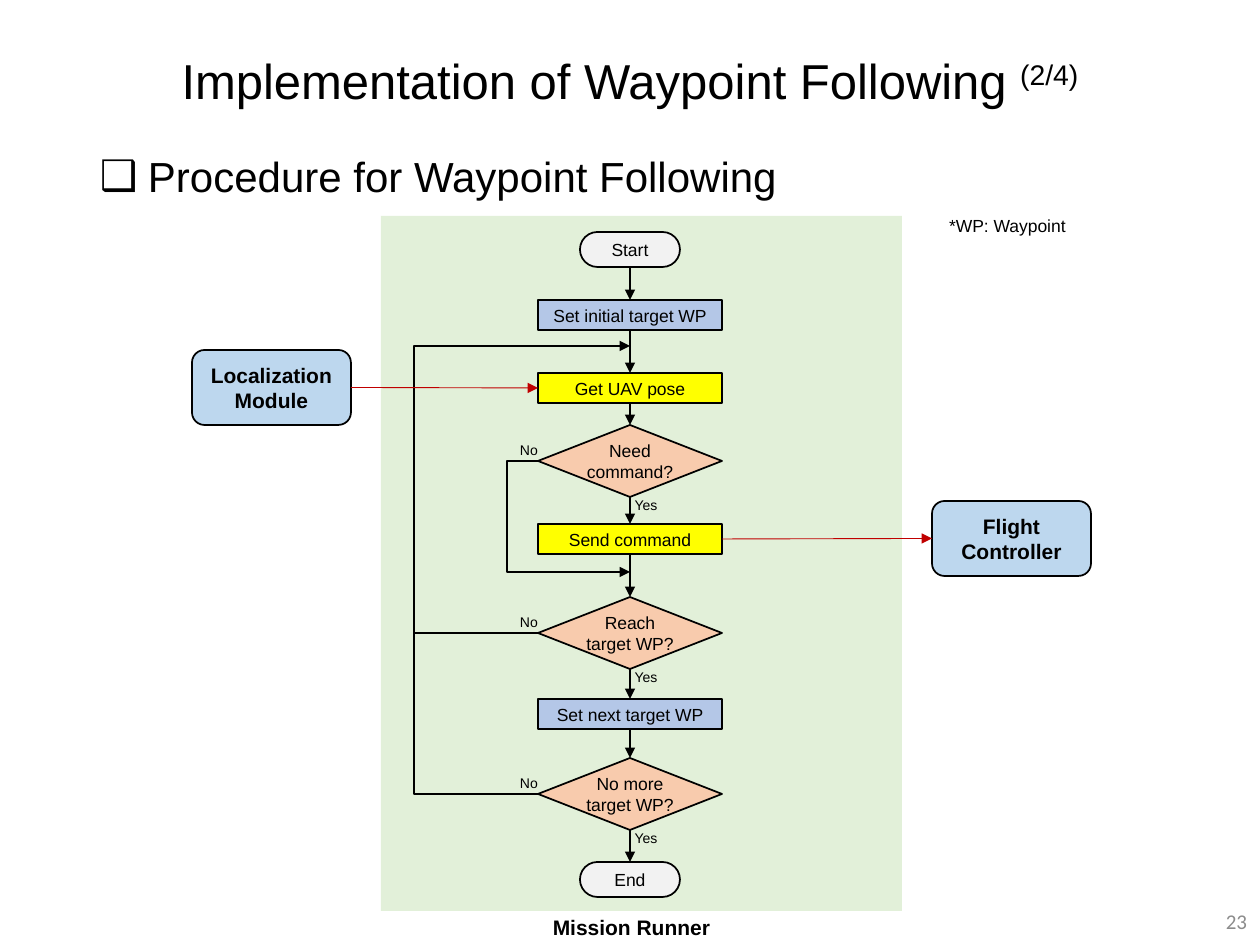
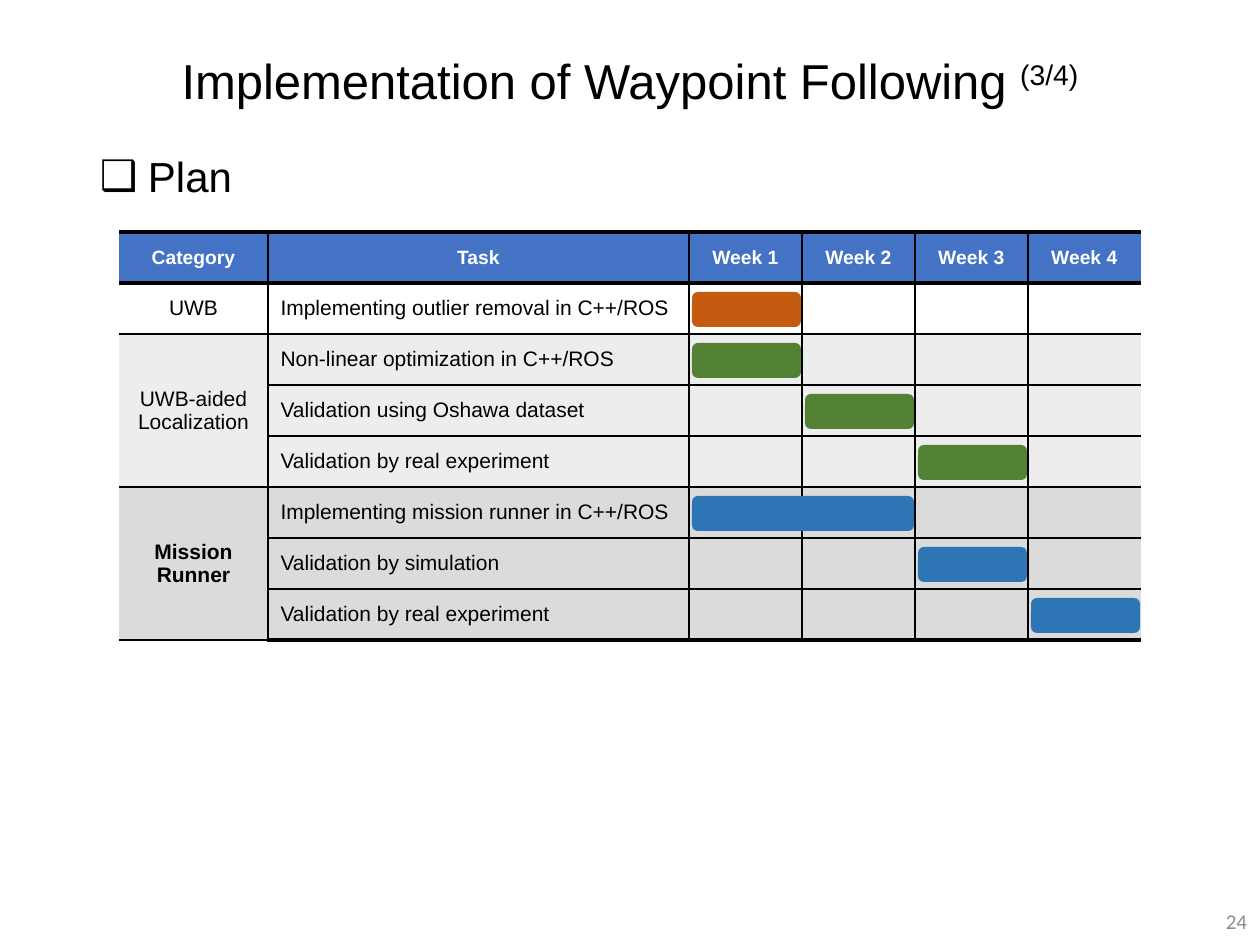
from lxml.etree import SubElement
from pptx import Presentation
from pptx.dml.color import RGBColor
from pptx.enum.shapes import MSO_CONNECTOR, MSO_SHAPE
from pptx.enum.text import MSO_ANCHOR, PP_ALIGN
from pptx.oxml.ns import qn
from pptx.util import Emu, Pt

PX_PER_INCH = 126
SLIDE_WIDTH, SLIDE_HEIGHT = 1260, 945
FONT = "Arial"

BLACK = RGBColor(0, 0, 0)
WHITE = RGBColor(255, 255, 255)
PAGE_GRAY = RGBColor(0x8C, 0x8C, 0x8C)
RUNNER_GREEN = RGBColor(0xE2, 0xF0, 0xD9)
TERMINAL_GRAY = RGBColor(0xF2, 0xF2, 0xF2)
STEP_BLUE = RGBColor(0xB4, 0xC7, 0xE7)
STEP_YELLOW = RGBColor(255, 255, 0)
DECISION_ORANGE = RGBColor(0xF8, 0xCB, 0xAD)
MODULE_BLUE = RGBColor(0xBD, 0xD7, 0xEE)
LINK_RED = RGBColor(0xC0, 0, 0)
HEADER_BLUE = RGBColor(0x44, 0x72, 0xC4)
LIGHT_GRAY = RGBColor(0xED, 0xED, 0xED)
MID_GRAY = RGBColor(0xDB, 0xDB, 0xDB)
UWB_ORANGE = RGBColor(0xC5, 0x5A, 0x11)
LOCALIZATION_GREEN = RGBColor(0x54, 0x82, 0x35)
MISSION_BLUE = RGBColor(0x2E, 0x75, 0xB6)

TOP, LEFT, BOTTOM, RIGHT = range(4)

FLOW_CENTER = 630
TERMINAL = (MSO_SHAPE.ROUNDED_RECTANGLE, 100, 35)
STEP = (MSO_SHAPE.RECTANGLE, 184, 30)
DECISION = (MSO_SHAPE.FLOWCHART_DECISION, 184, 72)
FLOW = [
    (TERMINAL, "Start", 232, TERMINAL_GRAY),
    (STEP, "Set initial target WP", 300, STEP_BLUE),
    (STEP, "Get UAV pose", 373, STEP_YELLOW),
    (DECISION, "Need\ncommand?", 425, DECISION_ORANGE),
    (STEP, "Send command", 524, STEP_YELLOW),
    (DECISION, "Reach\ntarget WP?", 597, DECISION_ORANGE),
    (STEP, "Set next target WP", 699, STEP_BLUE),
    (DECISION, "No more target WP?", 758, DECISION_ORANGE),
    (TERMINAL, "End", 862, TERMINAL_GRAY),
]

TABLE_LEFT, TABLE_TOP, ROW_HEIGHT = 119, 232, 51
CATEGORY_WIDTH, TASK_WIDTH, WEEK_WIDTH = 149, 421, 113
WEEKS = 4
# category, fill, bold, bar colour, tasks as (name, first week, weeks)
PLAN = [
    ("UWB", WHITE, False, UWB_ORANGE,
     [("Implementing outlier removal in C++/ROS", 1, 1)]),
    ("UWB-aided\nLocalization", LIGHT_GRAY, False, LOCALIZATION_GREEN,
     [("Non-linear optimization in C++/ROS", 1, 1),
      ("Validation using Oshawa dataset", 2, 1),
      ("Validation by real experiment", 3, 1)]),
    ("Mission Runner", MID_GRAY, True, MISSION_BLUE,
     [("Implementing mission runner in C++/ROS", 1, 2),
      ("Validation by simulation", 3, 1),
      ("Validation by real experiment", 4, 1)]),
]


def px(length):
    return Emu(round(length * 914400 / PX_PER_INCH))


def write(frame, text, size, align=PP_ALIGN.CENTER, color=BLACK, bold=False, font=FONT):
    frame.text = text
    for paragraph in frame.paragraphs:
        paragraph.alignment = align
        for run in paragraph.runs:
            run.font.name = font
            run.font.size = Pt(size)
            run.font.bold = bold
            run.font.color.rgb = color


def prepare_frame(frame):
    frame.word_wrap = True
    frame.vertical_anchor = MSO_ANCHOR.MIDDLE
    frame.margin_left = frame.margin_right = 0
    frame.margin_top = frame.margin_bottom = 0


def add_label(slide, text, left, top, width, height, size, **style):
    frame = slide.shapes.add_textbox(*map(px, (left, top, width, height))).text_frame
    prepare_frame(frame)
    write(frame, text, size, **style)
    return frame


def add_block(slide, kind, left, top, width, height, fill, outlined=True):
    block = slide.shapes.add_shape(kind, *map(px, (left, top, width, height)))
    block.shadow.inherit = False
    block.fill.solid()
    block.fill.fore_color.rgb = fill
    if outlined:
        block.line.color.rgb = BLACK
        block.line.width = Pt(1)
    else:
        block.line.fill.background()
    prepare_frame(block.text_frame)
    return block


def add_line(slide, start, end, color=BLACK, width=0.75, arrow=True,
             kind=MSO_CONNECTOR.STRAIGHT):
    line = slide.shapes.add_connector(kind, *map(px, (*start, *end)))
    line.line.color.rgb = color
    line.line.width = Pt(width)
    if arrow:
        SubElement(line.line._get_or_add_ln(), qn("a:tailEnd"), type="triangle")
    SubElement(line._element.spPr, qn("a:effectLst"))
    return line


def join(slide, source, source_side, target, target_side, **style):
    """Draw an arrow between the middles of two block sides."""
    line = add_line(slide, (0, 0), (1, 1), **style)
    line.begin_connect(source, source_side)
    line.end_connect(target, target_side)


def add_detour(slide, start, end, lane):
    """Draw an arrow that leaves sideways and runs vertically at x = lane."""
    detour = add_line(slide, start, end, kind=MSO_CONNECTOR.ELBOW)
    bend = round((lane - start[0]) / (end[0] - start[0]) * 100000)
    guides = detour._element.spPr.find(qn("a:prstGeom")).get_or_add_avLst()
    SubElement(guides, qn("a:gd"), name="adj1", fmla=f"val {bend}")


def add_page(deck, part, heading, number):
    slide = deck.slides.add_slide(deck.slide_layouts[5])
    title = slide.shapes.title
    title.left, title.top, title.width, title.height = map(px, (87, 50, 1086, 68))
    prepare_frame(title.text_frame)
    write(title.text_frame, "Implementation of Waypoint Following ", 28)
    title_line = title.text_frame.paragraphs[0]
    title_line.line_spacing = 0.9
    counter = title_line.add_run()
    counter.text = part
    counter.font.name = FONT
    counter.font.size = Pt(28)
    counter.font.color.rgb = BLACK
    counter._r.get_or_add_rPr().set("baseline", "30000")

    frame = add_label(slide, heading, 100, 157, 1060, 44, 24, align=PP_ALIGN.LEFT)
    frame.paragraphs[0].line_spacing = 0.9
    properties = frame.paragraphs[0]._p.get_or_add_pPr()
    properties.set("marL", str(px(48)))
    properties.set("indent", str(-px(48)))
    SubElement(properties, qn("a:buFont"), typeface=FONT)
    SubElement(properties, qn("a:buChar"), char="❑")

    add_label(slide, number, 977, 896, 270, 50, 12, align=PP_ALIGN.RIGHT,
              color=PAGE_GRAY, font="Calibri")
    return slide


def add_flow_block(slide, form, text, top, fill):
    kind, width, height = form
    block = add_block(slide, kind, FLOW_CENTER - width // 2, top, width, height, fill)
    if form == TERMINAL:
        block.adjustments[0] = 0.5
    write(block.text_frame, text, 10)
    if form == DECISION:
        add_label(slide, "Yes", 616, top + 65, 60, 30, 8)
        add_label(slide, "No", 499, top + 10, 60, 30, 8)
    return block


def add_module(slide, text, left, top):
    module = add_block(slide, MSO_SHAPE.ROUNDED_RECTANGLE, left, top, 159, 75, MODULE_BLUE)
    write(module.text_frame, text, 12, bold=True)
    return module


def build_procedure(deck):
    slide = add_page(deck, "(2/4)", "Procedure for Waypoint Following", "23")
    add_block(slide, MSO_SHAPE.RECTANGLE, 381, 216, 521, 695, RUNNER_GREEN, outlined=False)
    add_label(slide, "Mission Runner", 522, 912, 219, 30, 12, bold=True)
    add_label(slide, "*WP: Waypoint", 949, 210, 130, 30, 10, align=PP_ALIGN.LEFT)

    blocks = [add_flow_block(slide, *entry) for entry in FLOW]
    for source, target in zip(blocks, blocks[1:]):
        join(slide, source, BOTTOM, target, TOP)

    decision_left = FLOW_CENTER - DECISION[1] // 2
    need_y, reach_y, more_y = (top + DECISION[2] // 2
                               for form, _, top, _ in FLOW if form == DECISION)
    loop_lane = 414
    add_detour(slide, (decision_left, need_y), (FLOW_CENTER, 572), 507)
    add_detour(slide, (decision_left, more_y), (FLOW_CENTER, 346), loop_lane)
    reach_branch = add_line(slide, (decision_left, reach_y), (loop_lane, reach_y), arrow=False)
    reach_branch.begin_connect(blocks[5], LEFT)

    localization = add_module(slide, "Localization\nModule", 192, 350)
    controller = add_module(slide, "Flight Controller", 932, 501)
    join(slide, localization, RIGHT, blocks[2], LEFT, color=LINK_RED, width=0.5)
    join(slide, blocks[4], RIGHT, controller, LEFT, color=LINK_RED, width=0.5)


def set_borders(cell, widths):
    """Set left, right, top and bottom border widths in points; 0 hides one."""
    properties = cell._tc.get_or_add_tcPr()
    for tag, width in zip(("a:lnL", "a:lnR", "a:lnT", "a:lnB"), widths):
        border = SubElement(properties, qn(tag), w=str(Pt(width)))
        if width:
            fill = SubElement(border, qn("a:solidFill"))
            SubElement(fill, qn("a:srgbClr"), val=str(BLACK))
        else:
            SubElement(border, qn("a:noFill"))


def style_row(table, row, fill):
    last_row, last_column = len(table.rows) - 1, len(table.columns) - 1
    for column in range(last_column + 1):
        cell = table.cell(row, column)
        set_borders(cell, (int(column > 0), int(column < last_column),
                           2 if row < 2 else 1,
                           2 if row in (0, last_row) else 1))
        cell.fill.solid()
        cell.fill.fore_color.rgb = fill
        cell.vertical_anchor = MSO_ANCHOR.MIDDLE


def add_bar(slide, row, first_week, weeks, color):
    height = 35
    left = TABLE_LEFT + CATEGORY_WIDTH + TASK_WIDTH + (first_week - 1) * WEEK_WIDTH
    top = TABLE_TOP + row * ROW_HEIGHT + (ROW_HEIGHT - height) // 2
    add_block(slide, MSO_SHAPE.ROUNDED_RECTANGLE, left + 3, top + 1,
              weeks * WEEK_WIDTH - 4, height, color, outlined=False)


def build_plan(deck):
    slide = add_page(deck, "(3/4)", "Plan", "24")
    widths = [CATEGORY_WIDTH, TASK_WIDTH] + [WEEK_WIDTH] * WEEKS
    row_count = 1 + sum(len(tasks) for *_, tasks in PLAN)
    area = (TABLE_LEFT, TABLE_TOP, sum(widths), row_count * ROW_HEIGHT)
    table = slide.shapes.add_table(row_count, len(widths), *map(px, area)).table
    table.first_row = table.horz_banding = False
    for column, width in zip(table.columns, widths):
        column.width = px(width)
    for row in table.rows:
        row.height = px(ROW_HEIGHT)

    style_row(table, 0, HEADER_BLUE)
    headings = ["Category", "Task"] + [f"Week {week + 1}" for week in range(WEEKS)]
    for column, heading in enumerate(headings):
        write(table.cell(0, column).text_frame, heading, 11, color=WHITE, bold=True)

    first = 1
    for category, fill, bold, bar_color, tasks in PLAN:
        for row, (task, week, weeks) in enumerate(tasks, first):
            style_row(table, row, fill)
            write(table.cell(row, 1).text_frame, task, 12, align=PP_ALIGN.LEFT)
            add_bar(slide, row, week, weeks, bar_color)
        category_cell = table.cell(first, 0)
        if len(tasks) > 1:
            category_cell.merge(table.cell(first + len(tasks) - 1, 0))
        write(category_cell.text_frame, category, 12, bold=bold)
        first += len(tasks)


def main():
    deck = Presentation()
    deck.slide_width, deck.slide_height = px(SLIDE_WIDTH), px(SLIDE_HEIGHT)
    build_procedure(deck)
    build_plan(deck)
    deck.save("out.pptx")


if __name__ == "__main__":
    main()
